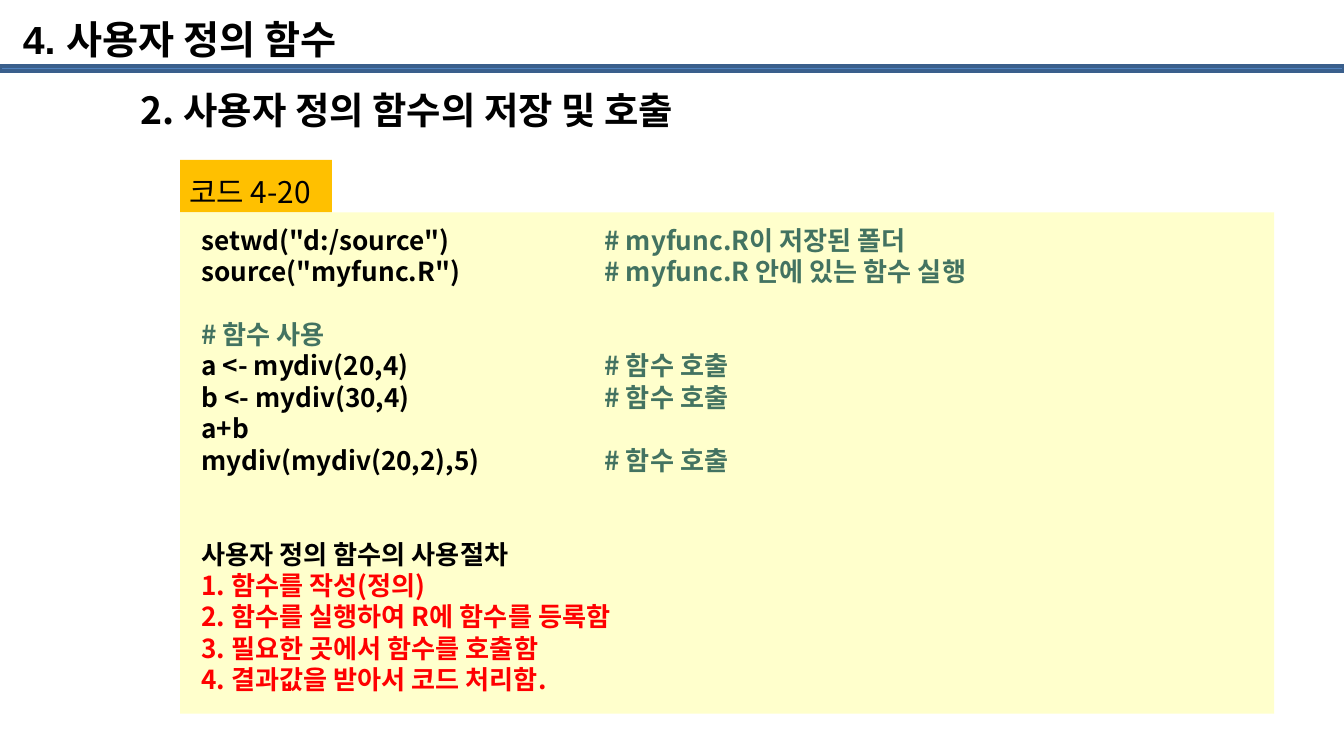
from lxml import etree
from pptx import Presentation
from pptx.dml.color import RGBColor
from pptx.enum.shapes import MSO_SHAPE
from pptx.enum.text import MSO_ANCHOR, PP_ALIGN
from pptx.oxml.ns import qn
from pptx.util import Inches, Pt

RECT = MSO_SHAPE.RECTANGLE
TOP = MSO_ANCHOR.TOP
LEFT = PP_ALIGN.LEFT
KOREAN = "Noto Sans CJK KR"
LEADING = 1.2
COLORS = {
    "text": "000000", "comment": "437361", "step": "FF0000",
    "rule": "4F81BD", "rule_edge": "3A5F8C",
    "label": "FFC000", "panel": "FFFFCC",
}


def rgb(name):
    return RGBColor.from_string(COLORS[name])


def write_line(p, runs, size, bold=True, latin=KOREAN, gap=0):
    """Fill a paragraph with (text, colour) runs; gap is in blank lines."""
    p.alignment = LEFT
    p.line_spacing = Pt(size * LEADING)
    p.space_before = Pt(size * LEADING * gap)
    p._p.get_or_add_pPr().set("defTabSz", str(Inches(1)))
    for text, color in runs:
        r = p.add_run()
        r.text = text
        for name, value in {"size": Pt(size), "bold": bold, "name": latin}.items():
            setattr(r.font, name, value)
        r.font.color.rgb = rgb(color)
        r.font._element.set("kern", "0")
        etree.SubElement(r.font._element, qn("a:ea"), typeface=KOREAN)


# 16:9 slide
prs = Presentation()
prs.slide_width = Inches(10)
prs.slide_height = Inches(10 * 9 / 16)
s = prs.slides.add_slide(prs.slide_layouts[5])

# Rule under the title, label tab and code panel
for x, y, w, h, fill, edge in [
    (0, 0.49, 10, 0.04, "rule", "rule_edge"),
    (1.34, 1.19, 1.13, 0.39, "label", None),
    (1.34, 1.58, 8.14, 3.73, "panel", None),
]:
    sp = s.shapes.add_shape(RECT, Inches(x), Inches(y), Inches(w), Inches(h))
    sp.shadow.inherit = False
    sp.fill.solid()
    sp.fill.fore_color.rgb = rgb(fill)
    if edge:
        sp.line.color.rgb = rgb(edge)
        sp.line.width = Pt(2)
    else:
        sp.line.fill.background()

# Title
title = s.shapes.title
for name, value in {"left": 0.1, "top": 0.07, "width": 8.62, "height": 0.56}.items():
    setattr(title, name, Inches(value))
tf = title.text_frame
for name, value in {
    "vertical_anchor": TOP, "word_wrap": True,
    "margin_left": Inches(0.07), "margin_right": Inches(0.07),
    "margin_top": Inches(0.04), "margin_bottom": Inches(0.04),
}.items():
    setattr(tf, name, value)
write_line(tf.paragraphs[0], [("4. 사용자 정의 함수", "text")], 21, latin="Arial")

# Code lines: (code, comment, blank lines above)
code_lines = [
    ('setwd("d:/source") \t\t', "# myfunc.R이 저장된 폴더", 0),
    ('source("myfunc.R") \t\t', "# myfunc.R 안에 있는 함수 실행", 0),
    ("", "# 함수 사용", 1),
    ("a <- mydiv(20,4) \t\t", "# 함수 호출", 0),
    ("b <- mydiv(30,4) \t\t", "# 함수 호출", 0),
    ("a+b", "", 0),
    ("mydiv(mydiv(20,2),5) \t", "# 함수 호출", 0),
    ("사용자 정의 함수의 사용절차", "", 2),
]
steps = [
    "1. 함수를 작성(정의)",
    "2. 함수를 실행하여 R에 함수를 등록함",
    "3. 필요한 곳에서 함수를 호출함",
    "4. 결과값을 받아서 코드 처리함.",
]
code = [
    ([(text, color) for text, color in ((left, "text"), (note, "comment")) if text], gap)
    for left, note, gap in code_lines
] + [([(step, "step")], 0) for step in steps]

# Subtitle, label and code text
for x, y, w, h, size, bold, wrap, lines in [
    (0.95, 0.6, 9.35, 4.65, 20, True, True,
     [([("2. 사용자 정의 함수의 저장 및 호출", "text")], 0)]),
    (1.31, 1.24, 1.2, 0.37, 16, False, False, [([("코드 4-20", "text")], 0)]),
    (1.4, 1.62, 7.76, 3.64, 14, True, True, code),
]:
    tf = s.shapes.add_textbox(Inches(x), Inches(y), Inches(w), Inches(h)).text_frame
    tf.word_wrap = wrap
    for i, (runs, gap) in enumerate(lines):
        p = tf.add_paragraph() if i else tf.paragraphs[0]
        write_line(p, runs, size, bold, gap=gap)

prs.save("out.pptx")
